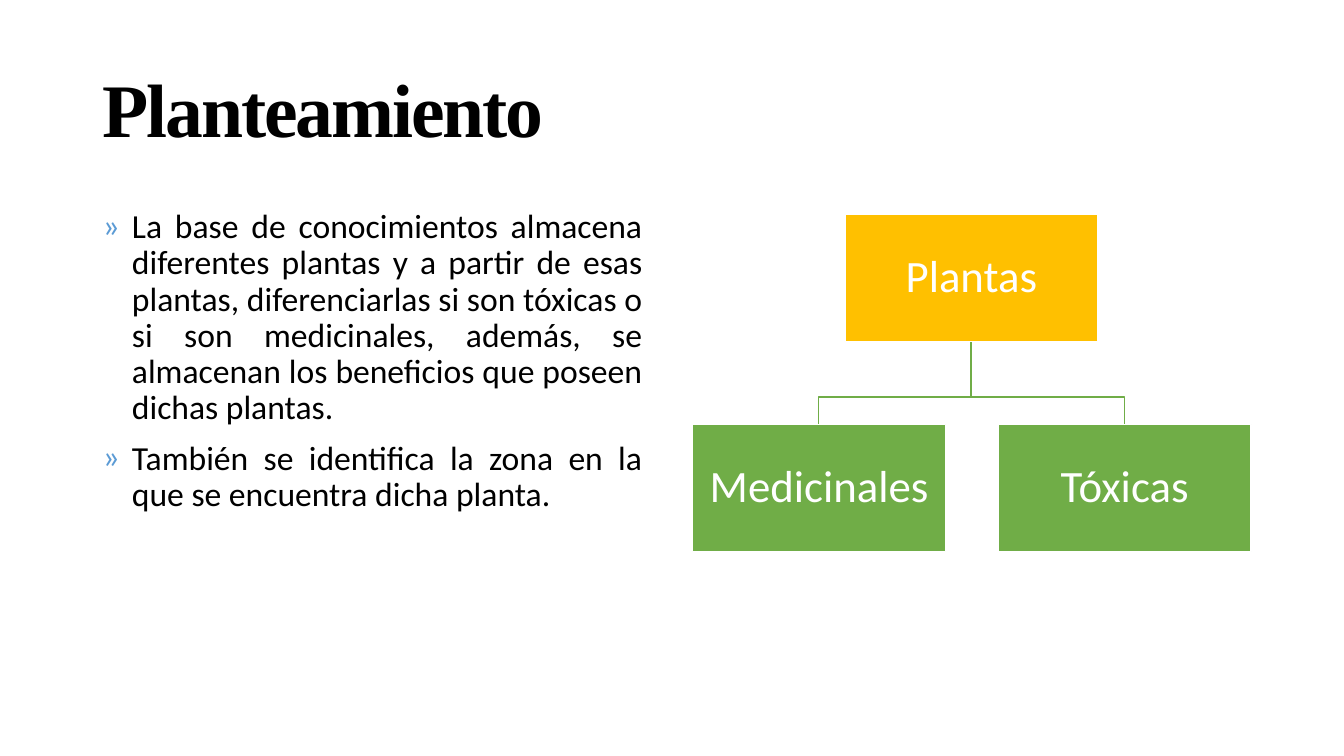
from typing import NamedTuple

from lxml.etree import SubElement
from pptx import Presentation
from pptx.dml.color import RGBColor
from pptx.enum.shapes import MSO_SHAPE
from pptx.enum.text import MSO_ANCHOR, PP_ALIGN
from pptx.oxml.ns import qn
from pptx.shapes.shapetree import SlideShapes
from pptx.text.text import TextFrame, _Paragraph
from pptx.util import Pt

PX = 9144  # 100 px to the inch

BLACK = RGBColor(0x00, 0x00, 0x00)
WHITE = RGBColor(0xFF, 0xFF, 0xFF)
AMBER = RGBColor(0xFF, 0xC0, 0x00)
GREEN = RGBColor(0x70, 0xAD, 0x47)
BULLET_BLUE = RGBColor(0x5B, 0x9B, 0xD5)

NODE_WIDTH, NODE_HEIGHT = 251, 126
BEND_Y = 394
BULLET_INDENT = 29

STATEMENTS = (
    "La base de conocimientos almacena diferentes plantas y a partir de esas "
    "plantas, diferenciarlas si son tóxicas o si son medicinales, además, se "
    "almacenan los beneficios que poseen dichas plantas.",
    "También se identifica la zona en la que se encuentra dicha planta.",
)


class Node(NamedTuple):
    label: str
    left: int
    top: int
    color: RGBColor

    @property
    def center(self) -> int:
        return self.left + NODE_WIDTH // 2


ROOT = Node("Plantas", 838, 213, AMBER)
BRANCHES = (
    Node("Medicinales", 687, 421, GREEN),
    Node("Tóxicas", 990, 421, GREEN),
)


def style_paragraph(paragraph: _Paragraph, font_name: str, size: int,
                    color: RGBColor, align: PP_ALIGN) -> None:
    paragraph.alignment = align
    paragraph.line_spacing = 0.9
    for run in paragraph.runs:
        run.font.name = font_name
        run.font.size = Pt(size)
        run.font.color.rgb = color


def add_text_area(shapes: SlideShapes, left: int, top: int,
                  width: int, height: int) -> TextFrame:
    area = shapes.add_textbox(left * PX, top * PX, width * PX, height * PX)
    area.text_frame.word_wrap = True
    return area.text_frame


def add_bullet(paragraph: _Paragraph) -> None:
    properties = paragraph._p.get_or_add_pPr()
    properties.set("marL", str(BULLET_INDENT * PX))
    properties.set("indent", str(-BULLET_INDENT * PX))
    bullet_color = SubElement(properties, qn("a:buClr"))
    SubElement(bullet_color, qn("a:srgbClr"), val=str(BULLET_BLUE))
    SubElement(properties, qn("a:buFont"), typeface="Calibri")
    SubElement(properties, qn("a:buChar"), char="»")


def add_title(shapes: SlideShapes) -> None:
    frame = add_text_area(shapes, 92, 40, 1150, 145)
    frame.vertical_anchor = MSO_ANCHOR.MIDDLE
    frame.text = "Planteamiento"
    heading = frame.paragraphs[0]
    style_paragraph(heading, "Times New Roman", 54, BLACK, PP_ALIGN.LEFT)
    heading.runs[0].font.bold = True
    heading.runs[0]._r.get_or_add_rPr().set("spc", "-150")


def add_statements(shapes: SlideShapes) -> None:
    frame = add_text_area(shapes, 92, 203, 555, 485)
    frame.text = "\n".join(STATEMENTS)
    for statement in frame.paragraphs:
        style_paragraph(statement, "Calibri", 24, BLACK, PP_ALIGN.JUSTIFY)
        statement.space_before = Pt(10)
        add_bullet(statement)


def add_branch_line(shapes: SlideShapes, parent: Node, child: Node) -> None:
    """Draw the elbow from the foot of the parent to the top of the child."""
    builder = shapes.build_freeform(parent.center, parent.top + NODE_HEIGHT, scale=PX)
    builder.add_line_segments(
        [(parent.center, BEND_Y), (child.center, BEND_Y), (child.center, child.top)],
        close=False,
    )
    elbow = builder.convert_to_shape()
    elbow.shadow.inherit = False
    elbow.fill.background()
    elbow.line.color.rgb = GREEN
    elbow.line.width = Pt(1)


def add_node(shapes: SlideShapes, node: Node) -> None:
    box = shapes.add_shape(MSO_SHAPE.RECTANGLE, node.left * PX, node.top * PX,
                           NODE_WIDTH * PX, NODE_HEIGHT * PX)
    box.shadow.inherit = False
    box.fill.solid()
    box.fill.fore_color.rgb = node.color
    box.line.color.rgb = WHITE
    box.line.width = Pt(1)
    frame = box.text_frame
    frame.margin_left = frame.margin_right = 2 * PX
    frame.margin_top = frame.margin_bottom = 2 * PX
    frame.vertical_anchor = MSO_ANCHOR.MIDDLE
    frame.word_wrap = True
    frame.text = node.label
    style_paragraph(frame.paragraphs[0], "Calibri", 32, WHITE, PP_ALIGN.CENTER)


def main() -> None:
    presentation = Presentation()
    presentation.slide_width = 1333 * PX
    presentation.slide_height = 750 * PX
    shapes = presentation.slides.add_slide(presentation.slide_layouts[6]).shapes

    add_title(shapes)
    add_statements(shapes)
    for branch in BRANCHES:
        add_branch_line(shapes, ROOT, branch)
    for node in (ROOT, *BRANCHES):
        add_node(shapes, node)

    presentation.save("out.pptx")


if __name__ == "__main__":
    main()
